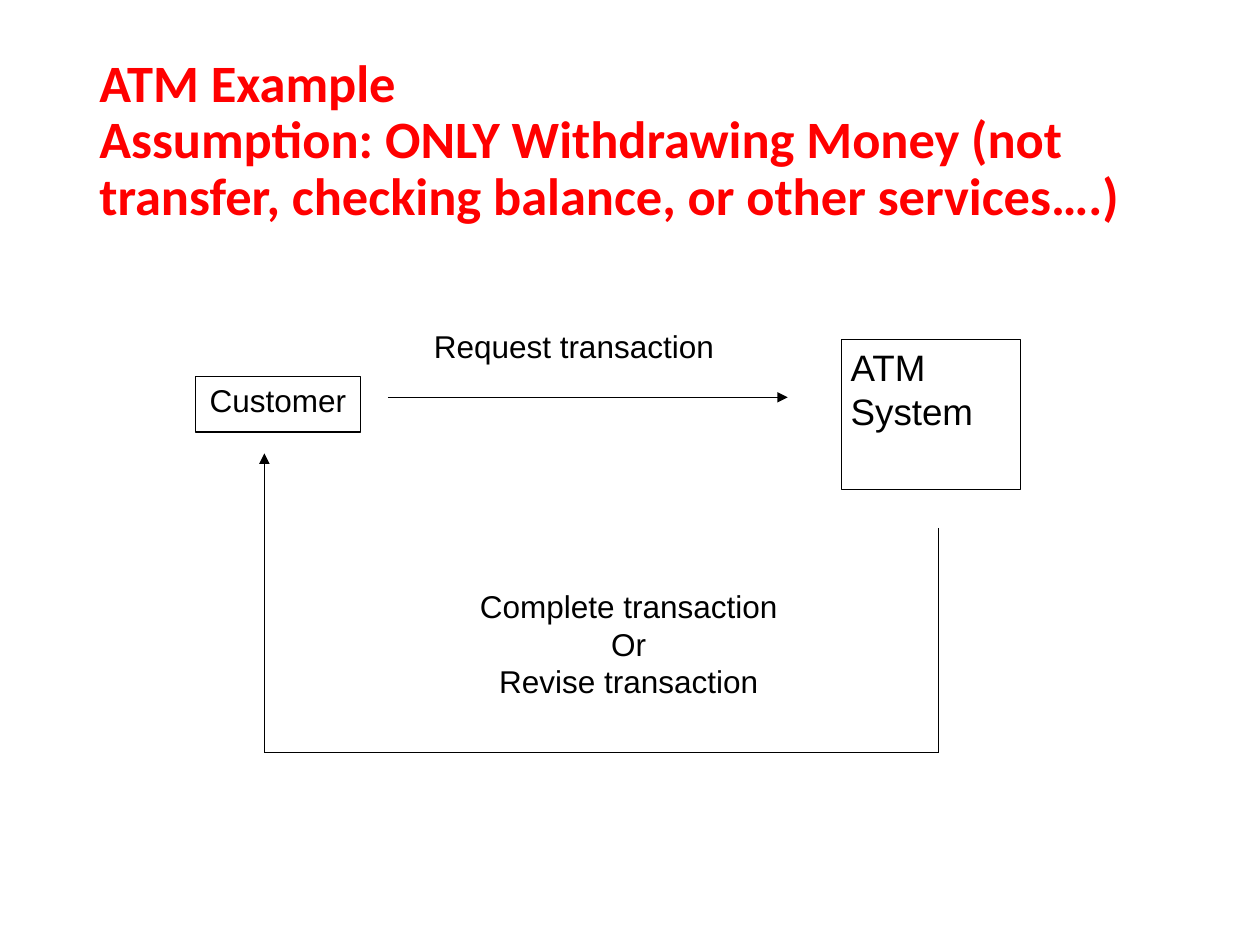
from lxml import etree
from pptx import Presentation
from pptx.dml.color import RGBColor
from pptx.enum.shapes import MSO_CONNECTOR, MSO_SHAPE
from pptx.enum.text import MSO_ANCHOR, PP_ALIGN
from pptx.oxml.ns import qn
from pptx.util import Cm, Pt

RED = RGBColor(0xFF, 0x00, 0x00)
BLACK = RGBColor(0x00, 0x00, 0x00)
WHITE = RGBColor(0xFF, 0xFF, 0xFF)
RECTANGLE = MSO_SHAPE.RECTANGLE
STRAIGHT = MSO_CONNECTOR.STRAIGHT
TOP, MIDDLE = MSO_ANCHOR.TOP, MSO_ANCHOR.MIDDLE
LEFT, CENTER = PP_ALIGN.LEFT, PP_ALIGN.CENTER


def add_flow_line(shapes, start, end, has_arrow):
    connector = shapes.add_connector(STRAIGHT, *map(Cm, start + end))
    connector.line.color.rgb = BLACK
    connector.line.width = Pt(0.75)
    if has_arrow:
        etree.SubElement(connector.line._get_or_add_ln(), qn("a:tailEnd"), type="triangle")
    etree.SubElement(connector._element.spPr, qn("a:effectLst"))


def add_box(shapes, bounds, lines, size, alignment, border):
    shape = shapes.add_shape(RECTANGLE, *map(Cm, bounds))
    shape.shadow.inherit = False
    shape.fill.solid()
    shape.fill.fore_color.rgb = WHITE
    shape.line.color.rgb = border
    shape.line.width = Pt(0.75)
    frame = shape.text_frame
    frame.word_wrap = True
    frame.vertical_anchor = TOP
    frame.margin_left = frame.margin_right = Cm(0.18)
    frame.margin_top = frame.margin_bottom = Cm(0.1)
    for index, line in enumerate(lines):
        paragraph = frame.add_paragraph() if index else frame.paragraphs[0]
        paragraph.alignment = alignment
        run = paragraph.add_run()
        run.text = line
        run.font.name = "Arial"
        run.font.size = Pt(size)
        run.font.color.rgb = BLACK


presentation = Presentation()
presentation.slide_width = Cm(25.4)
presentation.slide_height = Cm(19.05)
slide = presentation.slides.add_slide(presentation.slide_layouts[5])

# Title
title = slide.shapes.title
title.left, title.top, title.width, title.height = Cm(1.75), Cm(1.02), Cm(21.9), Cm(3.68)
title.text_frame.word_wrap = True
title.text_frame.vertical_anchor = MIDDLE
paragraph = title.text_frame.paragraphs[0]
paragraph.alignment = LEFT
paragraph.line_spacing = 0.9
title_lines = [
    "ATM Example",
    "Assumption: ONLY Withdrawing Money (not transfer, checking balance, or other services….)",
]
for index, line in enumerate(title_lines):
    if index:
        paragraph.add_line_break()
    run = paragraph.add_run()
    run.text = line
    run.font.name = "Calibri"
    run.font.size = Pt(30)
    run.font.bold = True
    run.font.color.rgb = RED

# Diagram: request arrow, actors, return path, labels
diagram = slide.shapes.add_group_shape().shapes
add_flow_line(diagram, (7.82, 8.01), (15.88, 8.01), True)
add_box(diagram, (3.94, 7.59, 3.33, 1.12), ["Customer"], 18, CENTER, BLACK)
add_box(diagram, (16.97, 6.85, 3.61, 3.02), ["ATM System"], 21, LEFT, BLACK)

return_path = [(18.92, 10.64), (18.92, 15.17), (5.33, 15.17), (5.33, 9.14)]
for start, end in zip(return_path, return_path[1:]):
    add_flow_line(diagram, start, end, end == return_path[-1])

reply_lines = ["Complete transaction", "Or", "Revise transaction"]
add_box(diagram, (9.07, 11.73, 7.21, 3), reply_lines, 18, CENTER, WHITE)
add_box(diagram, (8.38, 6.5, 6.38, 1.12), ["Request transaction"], 18, CENTER, WHITE)

presentation.save("out.pptx")
